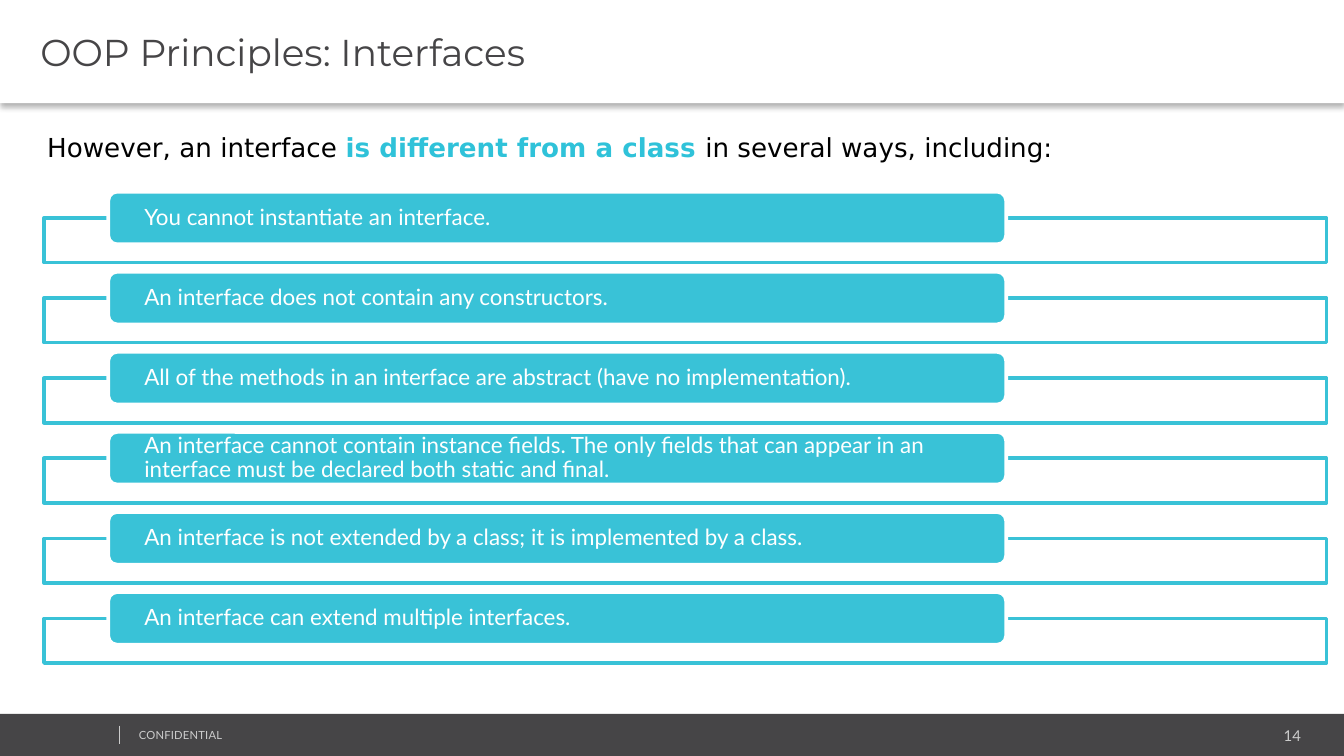
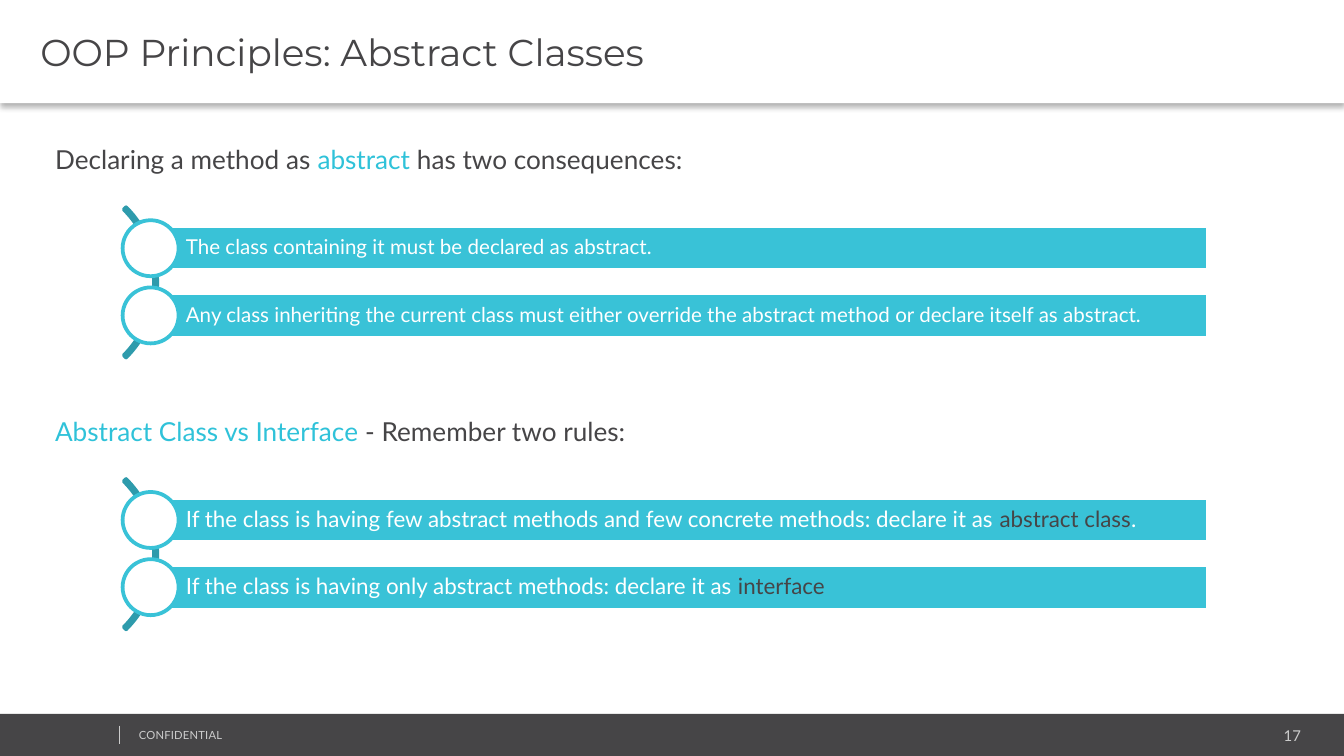
from dataclasses import dataclass

from lxml import etree
from pptx import Presentation
from pptx.dml.color import RGBColor
from pptx.enum import shapes, text
from pptx.oxml import ns
from pptx.util import Pt


@dataclass(frozen=True)
class Theme:
    dark: str = "464547"
    white: str = "FFFFFF"
    black: str = "000000"
    pale: str = "CCCCCC"
    cyan: str = "39C2D7"
    bright: str = "2FC2D9"
    teal: str = "2E9BAC"
    body: str = "Lato"
    head: str = "Montserrat"
    plain: str = "DejaVu Sans"
    title: float = 20
    lead: float = 14
    item: float = 12
    small: float = 11
    page: float = 8
    note: float = 6
    line: float = 2


T = Theme()
KIND = shapes.MSO_SHAPE
MID = text.MSO_ANCHOR.MIDDLE
WIDE, HIGH = 720, 405


# Helpers
def assign(item, values):
    for name, value in values.items():
        setattr(item, name, value)


def add_node(parent, tag, **attrs):
    return etree.SubElement(parent, ns.qn(tag), attrs)


def write(shape, runs, size, font=T.body, inset=(7.2, 3.6, 7.2, 3.6),
          frame=None, para=None):
    """Fill a shape with runs of (words, colour[, bold])."""
    tf = shape.text_frame
    sides = ("margin_left", "margin_top", "margin_right", "margin_bottom")
    assign(tf, dict(zip(sides, map(Pt, inset))))
    assign(tf, {"word_wrap": True, **(frame or {})})
    line = tf.paragraphs[0]
    assign(line, {"alignment": text.PP_ALIGN.LEFT, **(para or {})})
    for words, tint, *bold in runs:
        run = line.add_run()
        run.text = words
        assign(run.font, {"size": Pt(size), "name": font, "bold": bool(bold)})
        run.font.color.rgb = RGBColor.from_string(tint)


def add_text(slide, at, runs, size, **style):
    box = slide.shapes.add_textbox(*map(Pt, at))
    grow = {"auto_size": text.MSO_AUTO_SIZE.SHAPE_TO_FIT_TEXT}
    write(box, runs, size, frame=grow, **style)
    return box


def add_shape(slide, kind, at, fill=None, line=None):
    shape = slide.shapes.add_shape(kind, *map(Pt, at))
    if fill:
        shape.fill.solid()
        shape.fill.fore_color.rgb = RGBColor.from_string(fill)
    else:
        shape.fill.background()
    if line:
        shape.line.color.rgb = RGBColor.from_string(line)
        shape.line.width = Pt(T.line)
    else:
        shape.line.fill.background()
    shape.shadow.inherit = False
    return shape


# Shared title band and footer
def add_base(deck, title, page):
    slide = deck.slides.add_slide(deck.slide_layouts[6])
    add_shape(slide, KIND.RECTANGLE, (0, 382.4, WIDE, 23.6), T.dark)
    inset = (5, 3, 5, 3)
    add_text(slide, (584.6, 386, 117.4, 15), [(str(page), T.pale)], T.page,
             inset=inset, para={"alignment": text.PP_ALIGN.RIGHT})
    mark = add_text(slide, (69.4, 387.2, 182, 13),
                    [("CONFIDENTIAL", T.pale)], T.note, inset=inset)
    mark.text_frame.paragraphs[0].runs[0].font._element.set("spc", "10")
    rule = slide.shapes.add_connector(shapes.MSO_CONNECTOR.STRAIGHT,
                                      *map(Pt, (64, 388.8, 64, 398.8)))
    rule.line.color.rgb = RGBColor.from_string(T.pale)
    rule.line.width = Pt(0.25)
    add_node(rule._element.spPr, "a:effectLst")

    band = add_shape(slide, KIND.RECTANGLE, (0, 0, WIDE, 55.3), T.white)
    write(band, [(title, T.dark)], T.title, T.head, (21.6, 3, 5, 3),
          {"vertical_anchor": MID})
    effects = band._element.spPr.find(ns.qn("a:effectLst"))
    shade = add_node(effects, "a:outerShdw", blurRad=str(Pt(3.1)),
                     dist=str(Pt(2)), dir="5400000", algn="t", rotWithShape="0")
    tint = add_node(shade, "a:srgbClr", val=T.black)
    add_node(tint, "a:alpha", val="30000")
    return slide


# Label over an open frame
def add_row(slide, top, words):
    frame = add_shape(slide, KIND.RECTANGLE, (23.6, top + 14.2, 687, 23.8),
                      T.white, T.cyan)
    tint = frame._element.spPr.find(ns.qn("a:solidFill"))[0]
    add_node(tint, "a:alpha", val="90000")
    pill = add_shape(slide, KIND.ROUNDED_RECTANGLE, (58, top, 481, 28.2),
                     T.cyan, T.white)
    write(pill, [(words, T.white)], T.item, inset=(18, 0, 18, 0),
          frame={"vertical_anchor": MID}, para={"line_spacing": 0.9})


# Heading, arc and bars with round knobs
def add_block(slide, top, lead, bars, size):
    add_text(slide, (22.4, top, 666, 24.2), lead, T.lead)
    arc = add_shape(slide, KIND.BLOCK_ARC, (-29.6, top + 21, 113.8, 113.8),
                    line=T.teal)
    for i, value in enumerate((189, 27, 0.015)):
        arc.adjustments[i] = value
    left, high, knob = 80.7, 23.8, 30
    for i, runs in enumerate(bars):
        y = top + 47.7 + 36 * i
        bar = add_shape(slide, KIND.RECTANGLE, (left, y, 566.6, high),
                        T.cyan, T.white)
        write(bar, runs, size, inset=(18.9, 2, 2, 2),
              frame={"vertical_anchor": MID}, para={"line_spacing": 0.9})
        add_shape(slide, KIND.OVAL,
                  (left - knob / 2, y + (high - knob) / 2, knob, knob),
                  T.white, T.cyan)


def main():
    deck = Presentation()
    assign(deck, {"slide_width": Pt(WIDE), "slide_height": Pt(HIGH)})

    # Interfaces
    slide = add_base(deck, "OOP Principles: Interfaces", 14)
    add_text(slide, (18.2, 67, 673, 24.2),
             [("However, an interface ", T.black),
              ("is different from a class ", T.bright, True),
              ("in several ways, including:", T.black)],
             T.lead, font=T.plain)
    facts = (
        "You cannot instantiate an interface.",
        "An interface does not contain any constructors.",
        "All of the methods in an interface are abstract (have no implementation).",
        "An interface cannot contain instance fields. The only fields that can "
        "appear in an interface must be declared both static and final.",
        "An interface is not extended by a class; it is implemented by a class.",
        "An interface can extend multiple interfaces.",
    )
    for i, words in enumerate(facts):
        add_row(slide, 102.7 + 42.9 * i, words)

    # Abstract classes
    slide = add_base(deck, "OOP Principles: Abstract Classes", 17)
    add_block(slide, 73.4,
              [("Declaring a method as ", T.dark), ("abstract", T.bright),
               (" has two consequences:", T.dark)],
              [[("The class containing it must be declared as abstract.",
                 T.white)],
               [("Any class inheriting the current class must either override "
                 "the abstract method or declare itself as abstract.",
                 T.white)]],
              T.small)
    add_block(slide, 219,
              [("Abstract Class vs Interface ", T.bright),
               ("- Remember two rules:", T.dark)],
              [[("If the class is having few abstract methods and few concrete "
                 "methods: declare it as ", T.white),
                ("abstract class", T.dark), (".", T.white)],
               [("If the class is having only abstract methods: declare it as ",
                 T.white), ("interface", T.dark)]],
              T.item)

    deck.save("out.pptx")


if __name__ == "__main__":
    main()
